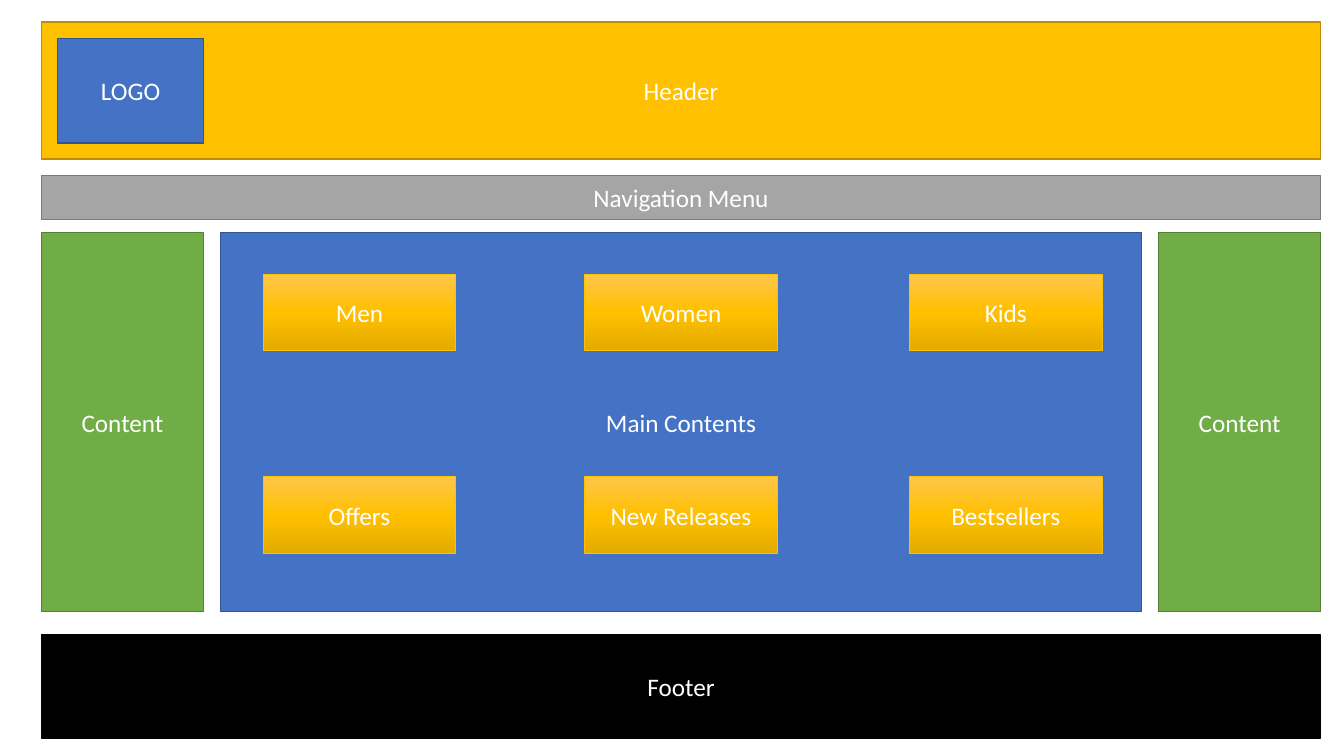
from copy import deepcopy

from pptx import Presentation
from pptx.dml.color import RGBColor
from pptx.enum.shapes import MSO_SHAPE as Preset
from pptx.enum.text import MSO_ANCHOR as Anchor, PP_ALIGN as Align
from pptx.oxml.ns import qn
from pptx.util import Inches, Pt

COLORS = {
    "white": "FFFFFF", "black": "000000",
    "gold": "FFC000", "gold edge": "BD8E00",
    "gold light": "FFC64B", "gold dark": "E3AB00",
    "blue": "4472C4", "blue edge": "325491",
    "green": "70AD47", "green edge": "538035",
    "gray": "A5A5A5", "gray edge": "7A7A7A",
}


def color(name):
    return RGBColor.from_string(COLORS[name])


def add_box(text, left, top, width, height, fill, edge, edge_width=1):
    shape = slide.shapes.add_shape(
        Preset.RECTANGLE, Inches(left), Inches(top), Inches(width), Inches(height))
    shape.shadow.inherit = False
    shape.fill.solid()
    shape.fill.fore_color.rgb = color(fill)
    shape.line.color.rgb = color(edge)
    shape.line.width = Pt(edge_width)
    shape.text_frame.word_wrap = True
    shape.text_frame.vertical_anchor = Anchor.MIDDLE
    paragraph = shape.text_frame.paragraphs[0]
    paragraph.alignment = Align.CENTER
    run = paragraph.add_run()
    run.text = text
    run.font.name = "Calibri"
    run.font.size = Pt(18)
    run.font.color.rgb = color("white")
    return shape


presentation = Presentation()
presentation.slide_width = Inches(13.33)
presentation.slide_height = Inches(7.5)
slide = presentation.slides.add_slide(presentation.slide_layouts[6])

# Page layout blocks
page_left, page_width = 0.41, 12.69
body_top, body_height = 2.31, 3.76
side_width = 1.61
right_side = page_left + page_width - side_width

add_box("Header", page_left, 0.22, page_width, 1.36, "gold", "gold edge")
add_box("LOGO", 0.57, 0.38, 1.45, 1.04, "blue", "blue edge")
for side_left in (page_left, right_side):
    add_box("Content", side_left, body_top, side_width, body_height, "green", "green edge")
add_box("Main Contents", 2.19, body_top, 9.13, body_height, "blue", "blue edge")
add_box("Footer", page_left, 6.3, page_width, 1.02, "black", "black")
add_box("Navigation Menu", page_left, 1.74, page_width, 0.44, "gray", "gray edge")

# Category buttons
column_lefts = (2.61, 5.8, 9.02)
button_rows = {
    2.72: ("Men", "Women", "Kids"),
    4.73: ("Offers", "New Releases", "Bestsellers"),
}
gradient = ((0, "gold light"), (0.5, "gold"), (1, "gold dark"))

for top, labels in button_rows.items():
    for left, label in zip(column_lefts, labels):
        button = add_box(label, left, top, 1.91, 0.76, "gold", "gold", 0.5)
        button.fill.gradient()
        button.fill.gradient_angle = 270  # counter-clockwise: top to bottom
        # The default gradient has two stops; add a third
        stop_list = button.element.spPr.find(qn("a:gradFill")).find(qn("a:gsLst"))
        stop_list.append(deepcopy(stop_list[-1]))
        for stop, (position, name) in zip(button.fill.gradient_stops, gradient):
            stop.position = position
            stop.color.rgb = color(name)

presentation.save("out.pptx")
